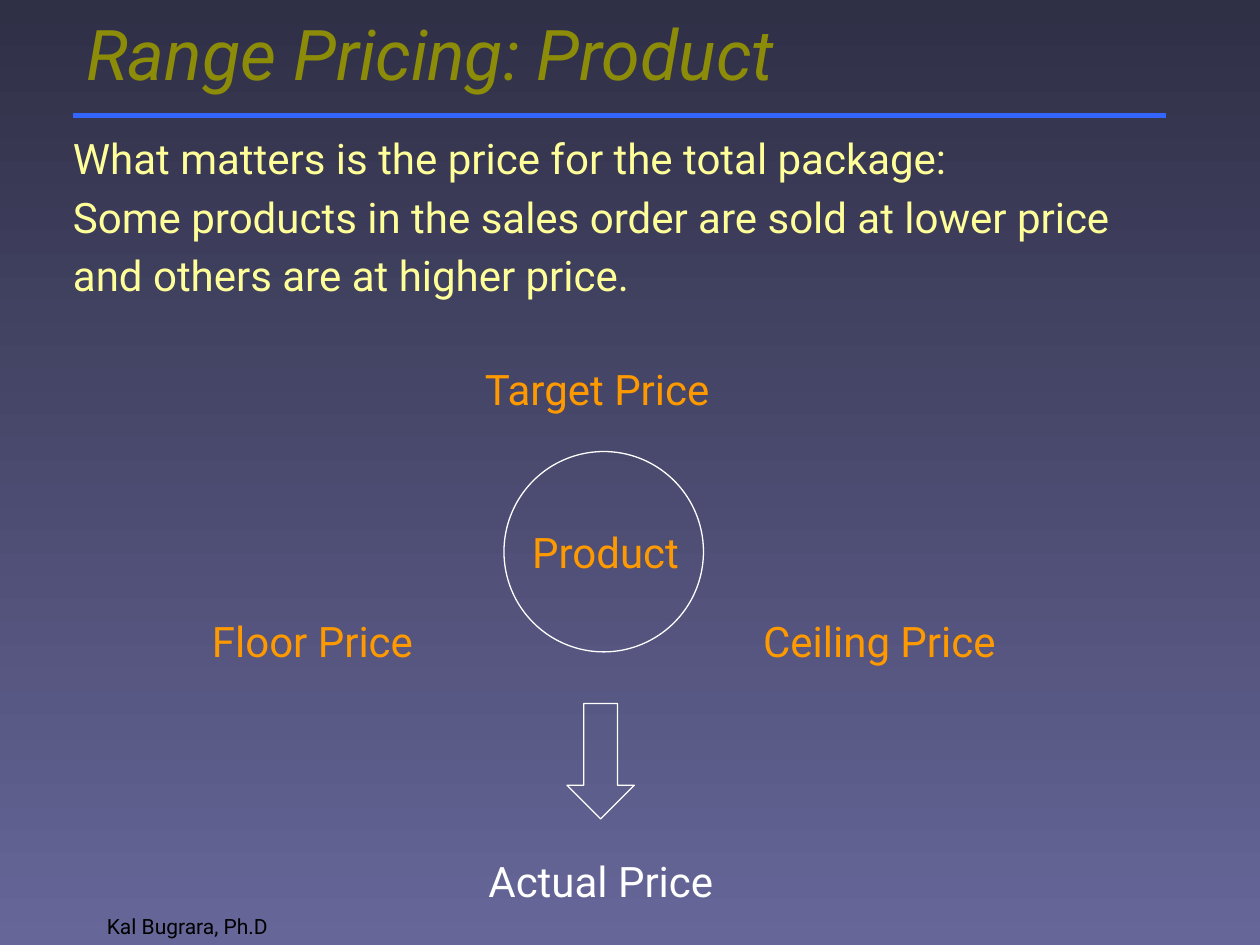
import pptx
import pptx.dml.color
import pptx.enum.shapes
import pptx.enum.text
import pptx.oxml
import pptx.oxml.ns
import pptx.util
from dataclasses import dataclass

Pt = pptx.util.Pt
RGB = pptx.dml.color.RGBColor.from_string
ANCHOR = pptx.enum.text.MSO_ANCHOR
FIT = pptx.enum.text.MSO_AUTO_SIZE
SHAPE = pptx.enum.shapes.MSO_SHAPE


@dataclass(frozen=True)
class Theme:
    font: str = "Roboto"
    sky_top: str = "2F2F46"
    sky_bottom: str = "666699"
    title: str = "8C8C08"
    rule: str = "3366FF"
    body: str = "FFFF99"
    label: str = "FF9900"
    outline: str = "FFFFFF"
    footer: str = "000000"
    title_size: int = 40
    text_size: int = 24
    footer_size: int = 12


theme = Theme()


def place(box, left, top, width, height):
    box.left, box.top, box.width, box.height = map(Pt, (left, top, width, height))


def write(para, text, size, color, italic=False):
    para.alignment = pptx.enum.text.PP_ALIGN.LEFT
    span = para.add_run()
    span.text = text
    span.font.name = theme.font
    span.font.size = Pt(size)
    span.font.italic = italic
    span.font.color.rgb = RGB(color)


deck = pptx.Presentation()
deck.slide_width, deck.slide_height = Pt(720), Pt(540)
page = deck.slides.add_slide(deck.slide_layouts[1])

# Background gradient, dark at the top
backdrop = page.background.fill
backdrop.gradient()
backdrop.gradient_angle = 270
for stop, color in zip(backdrop.gradient_stops, (theme.sky_top, theme.sky_bottom)):
    stop.color.rgb = RGB(color)

# Title and the rule below it
title = page.shapes.title
place(title, 42, 0, 624, 60)
title.text_frame.auto_size = FIT.NONE
title.text_frame.vertical_anchor = ANCHOR.MIDDLE
write(title.text_frame.paragraphs[0], "Range Pricing: Product",
      theme.title_size, theme.title, italic=True)

rule = page.shapes.add_connector(
    pptx.enum.shapes.MSO_CONNECTOR.STRAIGHT, Pt(42), Pt(66), Pt(666), Pt(66))
rule.line.color.rgb = RGB(theme.rule)
rule.line.width = Pt(3)
rule._element.spPr.append(pptx.oxml.parse_xml(
    f'<a:effectLst {pptx.oxml.ns.nsdecls("a")}/>'))

# Body statements, without bullets
body = page.placeholders[1]
place(body, 34.5, 72, 621.5, 106)
body.text_frame.auto_size = FIT.NONE
statements = (
    "What matters is the price for the total package:",
    "Some products in the sales order are sold at lower price",
    "and others are at higher price.",
)
for index, statement in enumerate(statements):
    para = body.text_frame.paragraphs[0] if index == 0 else body.text_frame.add_paragraph()
    properties = para._p.get_or_add_pPr()
    properties.set("marL", "0")
    properties.set("indent", "0")
    properties.append(pptx.oxml.parse_xml(f'<a:buNone {pptx.oxml.ns.nsdecls("a")}/>'))
    para.space_before = Pt(4.8 if index else 0)
    write(para, statement, theme.text_size, theme.body)

# Product circle and arrow to the actual price
for kind, bounds in (
    (SHAPE.OVAL, (288, 258, 114, 114.5)),
    (SHAPE.DOWN_ARROW, (324, 402, 38.5, 66)),
):
    figure = page.shapes.add_shape(kind, *map(Pt, bounds))
    figure.shadow.inherit = False
    figure.fill.background()
    figure.line.color.rgb = RGB(theme.outline)
    figure.line.width = Pt(0.75)

# Price labels, each wide enough for its text on one line
for text, left, top, width, color in (
    ("Product", 297, 297.5, 102, theme.label),
    ("Target Price", 270, 204, 144, theme.label),
    ("Ceiling Price", 429, 348, 151, theme.label),
    ("Floor Price", 114, 348, 132, theme.label),
    ("Actual Price", 272, 485.3, 144, theme.outline),
):
    label = page.shapes.add_textbox(Pt(left), Pt(top), Pt(width), Pt(36))
    label.text_frame.word_wrap = False
    label.text_frame.auto_size = FIT.SHAPE_TO_FIT_TEXT
    write(label.text_frame.paragraphs[0], text, theme.text_size, color)

# Author footer
footer = page.shapes.add_textbox(Pt(54), Pt(504), Pt(150), Pt(36))
footer.text_frame.word_wrap = True
footer.text_frame.vertical_anchor = ANCHOR.BOTTOM
write(footer.text_frame.paragraphs[0], "Kal Bugrara, Ph.D", theme.footer_size, theme.footer)

deck.save("out.pptx")
